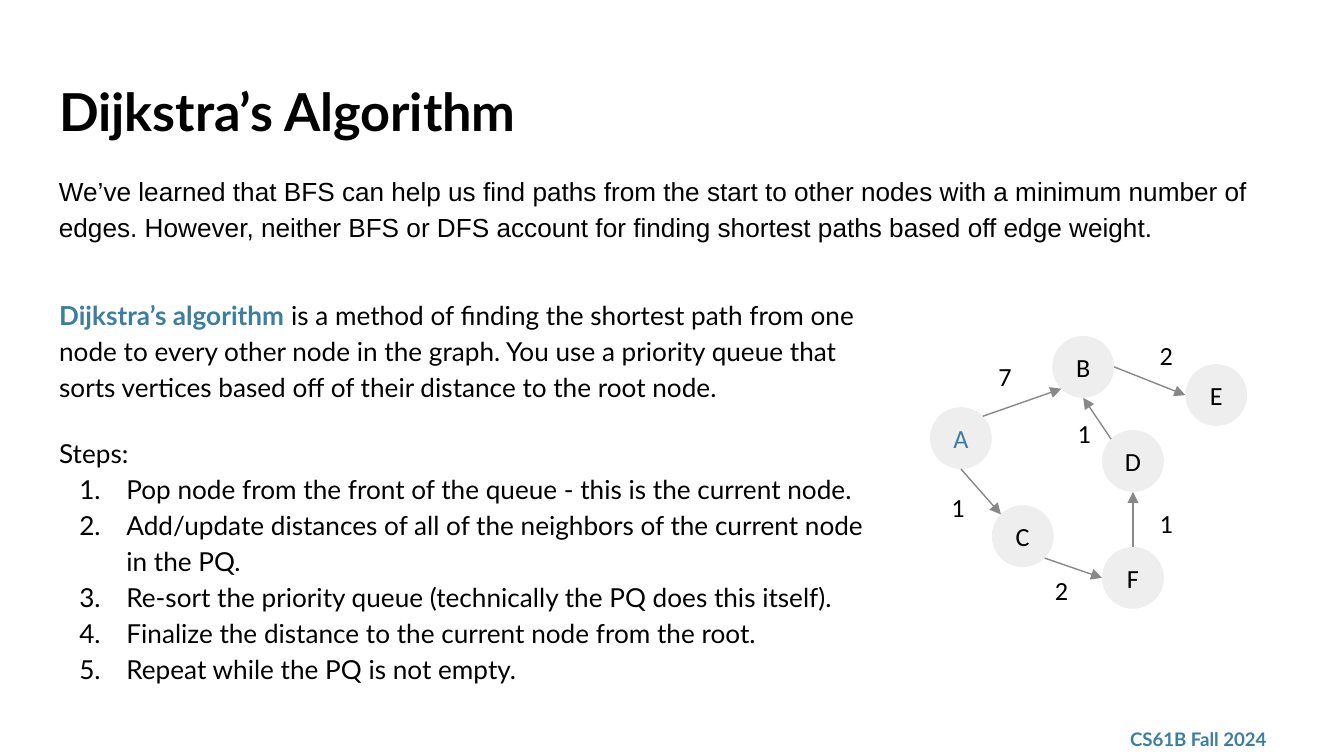
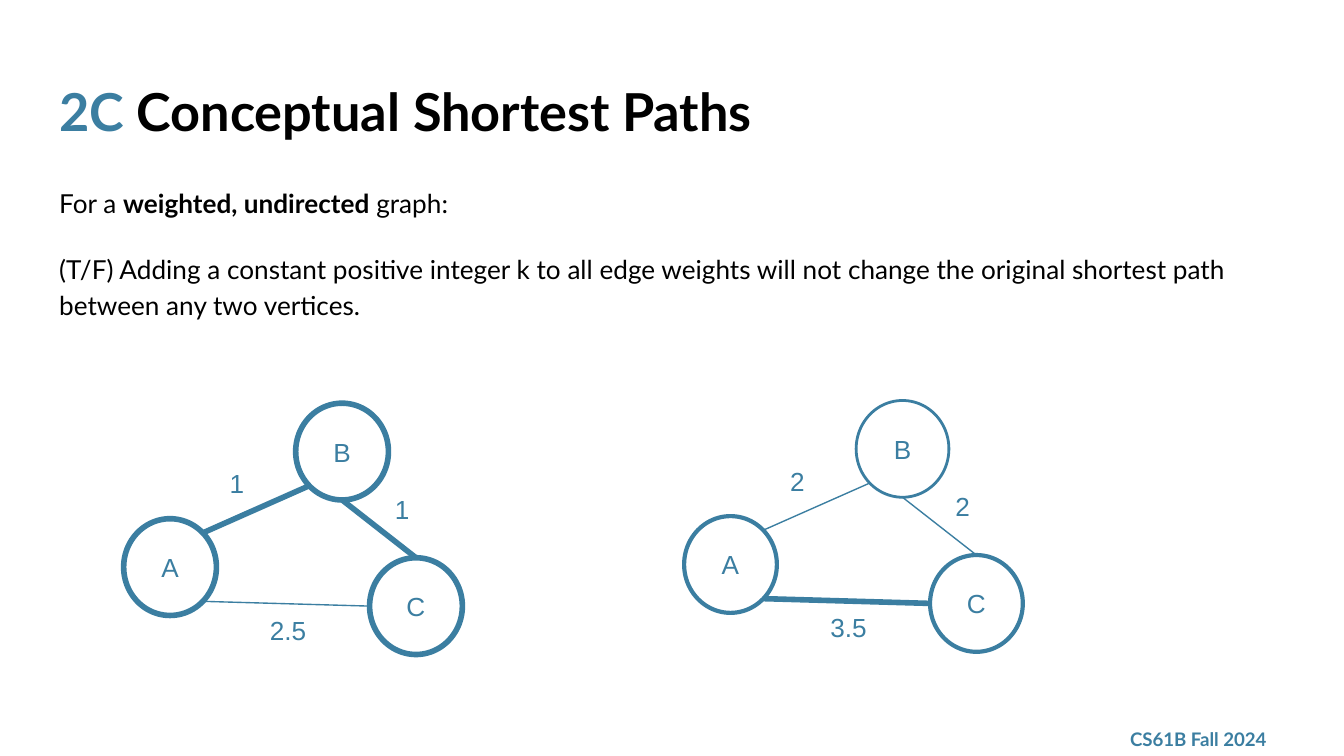
import math

from lxml import etree
from pptx import Presentation
from pptx.dml.color import RGBColor
from pptx.enum.shapes import MSO_CONNECTOR, MSO_SHAPE
from pptx.enum.text import MSO_ANCHOR, MSO_AUTO_SIZE, PP_ALIGN
from pptx.oxml.ns import qn
from pptx.util import Inches, Pt

ELLIPSE, STRAIGHT = MSO_SHAPE.OVAL, MSO_CONNECTOR.STRAIGHT
TOP, MIDDLE = MSO_ANCHOR.TOP, MSO_ANCHOR.MIDDLE
LEFT, CENTER = PP_ALIGN.LEFT, PP_ALIGN.CENTER
FIXED, GROW = MSO_AUTO_SIZE.NONE, MSO_AUTO_SIZE.SHAPE_TO_FIT_TEXT

SLIDE_W, SLIDE_H = Inches(10), Inches(5.625)
UNIT = SLIDE_W / 100  # the grid has 100 columns; its rows are as high as columns are wide
MARGIN, CONTENT_W = 3.4, 93.2

BLACK = RGBColor(0x00, 0x00, 0x00)
BLUE = RGBColor(0x3B, 0x7E, 0xA1)
PALE_GRAY = RGBColor(0xEE, 0xEE, 0xEE)
EDGE_GRAY = RGBColor(0x88, 0x88, 0x88)

TITLE = dict(name="Lato", size=Pt(28), bold=True, color=BLACK)
TITLE_BLUE = {**TITLE, "color": BLUE}
BODY = dict(name="Lato", size=Pt(14), bold=False, color=BLACK)
BODY_BOLD = {**BODY, "bold": True}
TERM = {**BODY_BOLD, "color": BLUE}
FOOTER = {**TERM, "size": Pt(10)}
INTRO = {**BODY, "name": "Arial"}
GRAPH_BLACK = {**BODY, "name": "Calibri"}
GRAPH_BLUE = {**GRAPH_BLACK, "color": BLUE}
SKETCH = {**INTRO, "color": BLUE}

PLAIN = dict(alignment=LEFT, line_spacing=1.0, space_before=Pt(0), space_after=Pt(0))
CENTERED = {**PLAIN, "alignment": CENTER}
PROSE = {**PLAIN, "line_spacing": 1.15}
GAP_ABOVE = {**PROSE, "space_before": Pt(16)}
GAP_BELOW = {**PROSE, "space_after": Pt(16)}
GAP_AROUND = {**GAP_ABOVE, "space_after": Pt(16)}

# Unit directions from a node's centre to where edges touch it
DIAGONAL = math.sqrt(0.5)
SIDES = {
    "n": (0, -1), "s": (0, 1), "w": (-1, 0), "e": (1, 0),
    "nw": (-DIAGONAL, -DIAGONAL), "ne": (DIAGONAL, -DIAGONAL),
    "sw": (-DIAGONAL, DIAGONAL), "se": (DIAGONAL, DIAGONAL),
}

STEPS = [
    "Pop node from the front of the queue - this is the current node.",
    "Add/update distances of all of the neighbors of the current node in the PQ.",
    "Re-sort the priority queue (technically the PQ does this itself).",
    "Finalize the distance to the current node from the root.",
    "Repeat while the PQ is not empty.",
]

DIJKSTRA_NODE = (4.6, 4.6)
DIJKSTRA_NODES = {
    "A": (71.5, 32.6), "B": (80.6, 27.3), "C": (76.1, 39.9),
    "D": (84.3, 34.3), "E": (90.5, 29.4), "F": (84.3, 43),
}
DIJKSTRA_EDGES = [
    ("A", "ne", "B", "sw"), ("A", "s", "C", "nw"), ("B", "e", "E", "w"),
    ("D", "nw", "B", "s"), ("C", "se", "F", "w"), ("F", "n", "D", "s"),
]
DIJKSTRA_WEIGHTS = [
    ("7", 74.5, 28), ("1", 71, 37.7), ("2", 78.7, 43.9),
    ("1", 86.5, 38.9), ("1", 80.4, 32.2), ("2", 86.5, 26.4),
]

# Triangle graph: places are relative to the centre of node A
TRIANGLE_NODE = (6.9, 7.2)
TRIANGLE_NODES = {"A": (0, 0), "B": (12.8, -8.6), "C": (18.3, 2.9)}
TRIANGLE_EDGES = [("A", "ne", "B", "sw"), ("B", "s", "C", "n"), ("A", "se", "C", "w")]
TRIANGLE_WEIGHTS = [(5.05, -6.2, 3.2), (17.35, -4.3, 3.2), (9.15, 4.7, 5.4)]


def grid(*lengths):
    return [round(length * UNIT) for length in lengths]


def centered_box(center, size):
    return (center[0] - size[0] / 2, center[1] - size[1] / 2, *size)


def set_bullet(paragraph, numbered):
    p_pr = paragraph._p.get_or_add_pPr()
    p_pr.set("marL", str(Inches(0.5) if numbered else 0))
    p_pr.set("indent", str(Inches(-0.35) if numbered else 0))
    if numbered:
        etree.SubElement(p_pr, qn("a:buAutoNum")).set("type", "arabicPeriod")
    else:
        etree.SubElement(p_pr, qn("a:buNone"))


def write(shape, paragraphs, anchor=TOP, auto_size=FIXED):
    """Fill a shape with (runs, paragraph format, numbered) entries."""
    frame = shape.text_frame
    frame_format = dict(word_wrap=True, auto_size=auto_size, vertical_anchor=anchor)
    frame_format.update({f"margin_{side}": Inches(0.1)
                         for side in ("left", "top", "right", "bottom")})
    for key, value in frame_format.items():
        setattr(frame, key, value)
    for index, (runs, layout, numbered) in enumerate(paragraphs):
        paragraph = frame.paragraphs[0] if index == 0 else frame.add_paragraph()
        for key, value in layout.items():
            setattr(paragraph, key, value)
        set_bullet(paragraph, numbered)
        for text, style in runs:
            run = paragraph.add_run()
            run.text = text
            for key, value in style.items():
                if key == "color":
                    run.font.color.rgb = value
                else:
                    setattr(run.font, key, value)


def place(shape, box):
    shape.left, shape.top, shape.width, shape.height = grid(*box)
    return shape


def add_text(slide, box, text, style, layout=PLAIN, **frame_format):
    textbox = slide.shapes.add_textbox(*grid(*box))
    write(textbox, [([(text, style)], layout, False)], **frame_format)


def add_page(deck, title_runs, body_box, body):
    """Add a slide with title, body and the course footer."""
    slide = deck.slides.add_slide(deck.slide_layouts[1])
    title = place(slide.shapes.title, (MARGIN, 4.9, CONTENT_W, 6.3))
    write(title, [(title_runs, PLAIN, False)])
    write(place(slide.placeholders[1], body_box), body)
    add_text(slide, (83.1, 53.7, 13.5, 2.6), "CS61B Fall 2024", FOOTER, anchor=MIDDLE)
    return slide


def add_node(shapes, label, center, size, style, fill=None, outline=None):
    node = shapes.add_shape(ELLIPSE, *grid(*centered_box(center, size)))
    node.shadow.inherit = False
    if fill is None:
        node.fill.background()
    else:
        node.fill.solid()
        node.fill.fore_color.rgb = fill
    if outline is None:
        node.line.fill.background()
    else:
        node.line.color.rgb = BLUE
        node.line.width = Pt(outline)
    write(node, [([(label, style)], CENTERED, False)], anchor=MIDDLE)


def touch_point(center, size, side):
    return [c + s / 2 * d for c, s, d in zip(center, size, SIDES[side])]


def add_edge(shapes, nodes, size, edge, color, width, arrow=False):
    start, start_side, end, end_side = edge
    ends = grid(*touch_point(nodes[start], size, start_side),
                *touch_point(nodes[end], size, end_side))
    connector = shapes.add_connector(STRAIGHT, *ends)
    connector.line.color.rgb = color
    connector.line.width = Pt(width)
    properties = connector.element.spPr
    if arrow:
        etree.SubElement(properties.find(qn("a:ln")), qn("a:tailEnd")).set("type", "triangle")
    etree.SubElement(properties, qn("a:effectLst"))


def add_dijkstra_graph(slide):
    graph = slide.shapes.add_group_shape().shapes
    for label, center in DIJKSTRA_NODES.items():
        style = GRAPH_BLUE if label == "A" else GRAPH_BLACK
        add_node(graph, label, center, DIJKSTRA_NODE, style, fill=PALE_GRAY)
    for edge in DIJKSTRA_EDGES:
        add_edge(graph, DIJKSTRA_NODES, DIJKSTRA_NODE, edge, EDGE_GRAY, 0.75, arrow=True)
    for weight, x, y in DIJKSTRA_WEIGHTS:
        add_text(slide, centered_box((x, y), (2.4, 2.8)), weight, GRAPH_BLACK,
                 CENTERED, anchor=MIDDLE)


def add_triangle_graph(slide, origin, weights, outlines, edge_widths):
    left, top = origin
    nodes = {label: (left + x, top + y) for label, (x, y) in TRIANGLE_NODES.items()}
    for (label, center), outline in zip(nodes.items(), outlines):
        add_node(slide.shapes, label, center, TRIANGLE_NODE, SKETCH, outline=outline)
    for edge, width in zip(TRIANGLE_EDGES, edge_widths):
        add_edge(slide.shapes, nodes, TRIANGLE_NODE, edge, BLUE, width)
    for weight, (x, y, width) in zip(weights, TRIANGLE_WEIGHTS):
        add_text(slide, centered_box((left + x, top + y), (width, 4.4)), weight,
                 SKETCH, auto_size=GROW)


def add_dijkstra_slide(deck):
    definition = [
        ("Dijkstra’s algorithm", TERM),
        (" is a method of finding the shortest path from one node to every other node "
         "in the graph. You use a priority queue that sorts vertices based off of their "
         "distance to the root node.", BODY),
    ]
    body = [(definition, PROSE, False), ([("Steps:", BODY)], GAP_ABOVE, False)]
    body += [([(step, BODY)], PROSE, True) for step in STEPS]
    slide = add_page(deck, [("Dijkstra’s Algorithm", TITLE)], (MARGIN, 20.9, 62, 31.6), body)
    add_dijkstra_graph(slide)
    add_text(slide, (MARGIN, 11.7, 92.6, 7.1),
             "We’ve learned that BFS can help us find paths from the start to other nodes "
             "with a minimum number of edges. However, neither BFS or DFS account for "
             "finding shortest paths based off edge weight.",
             INTRO, GAP_BELOW, auto_size=GROW)


def add_shortest_paths_slide(deck):
    premise = [("For a ", BODY), ("weighted, undirected", BODY_BOLD), (" graph:", BODY)]
    claim = [("(T/F) Adding a constant positive integer k to all edge weights will not change "
              "the original shortest path between any two vertices.", BODY)]
    slide = add_page(deck, [("2C", TITLE_BLUE), (" Conceptual Shortest Paths", TITLE)],
                     (MARGIN, 12.6, CONTENT_W, 13.3),
                     [(premise, PROSE, False), (claim, GAP_AROUND, False)])
    add_triangle_graph(slide, (12.65, 42.2), ("1", "1", "2.5"), (3, 3, 3), (3, 3, 0.75))
    add_triangle_graph(slide, (54.35, 42), ("2", "2", "3.5"), (2.25, 1.5, 2.25), (0.75, 0.75, 3))


def main():
    deck = Presentation()
    deck.slide_width, deck.slide_height = SLIDE_W, SLIDE_H
    add_dijkstra_slide(deck)
    add_shortest_paths_slide(deck)
    deck.save("out.pptx")


if __name__ == "__main__":
    main()
